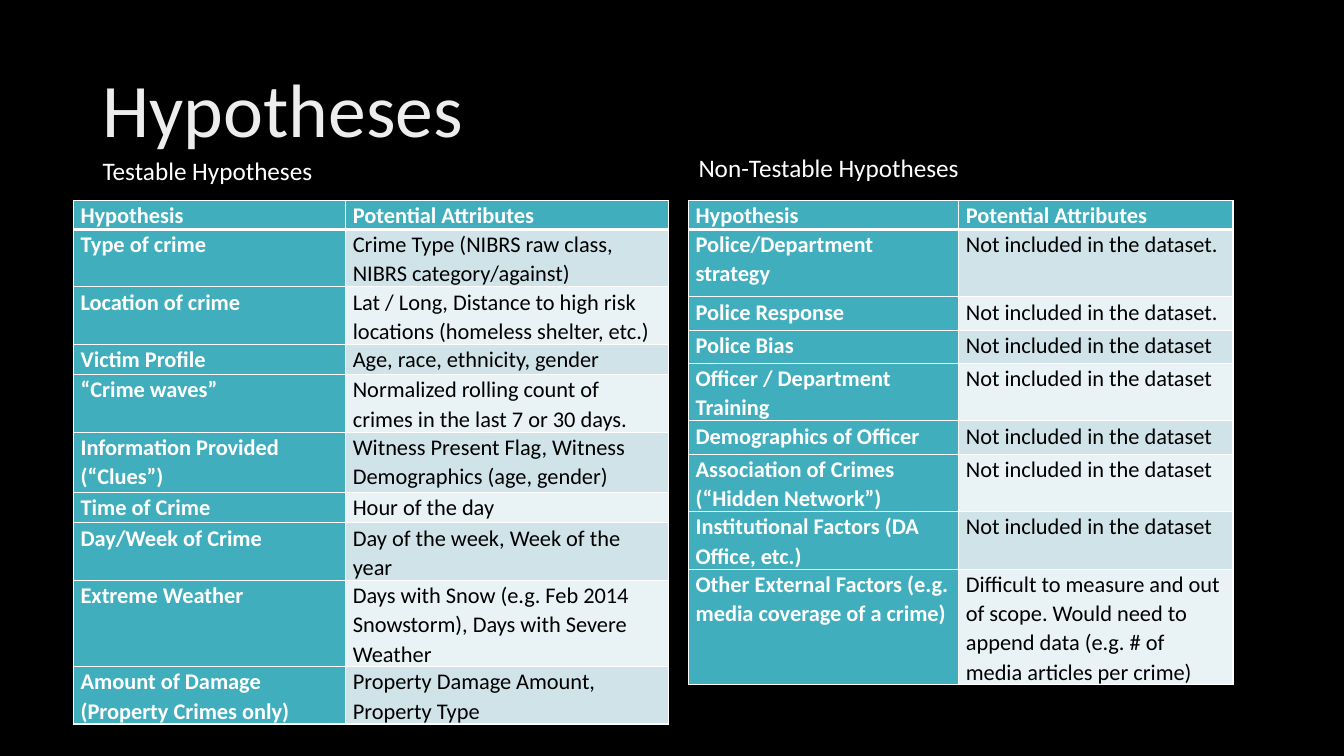
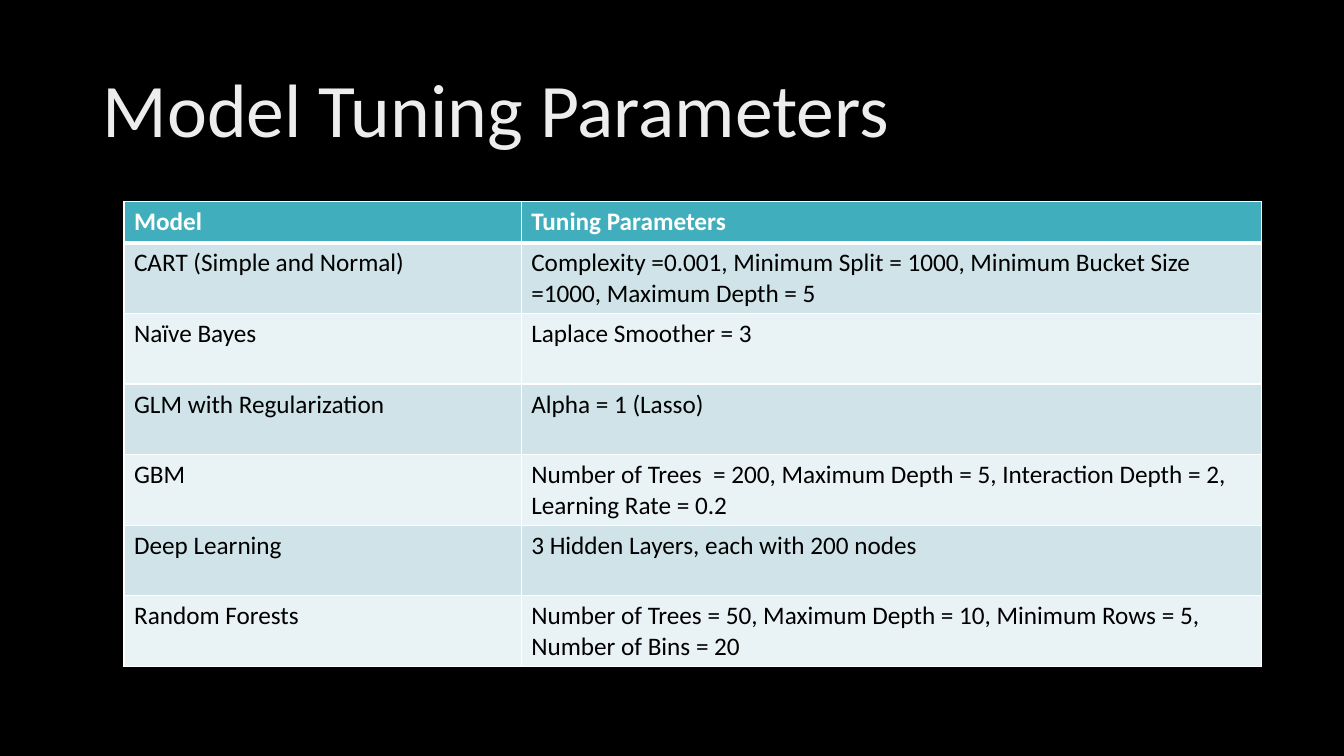
from dataclasses import dataclass

from lxml.etree import SubElement
from pptx import Presentation
from pptx.dml.color import RGBColor
from pptx.enum.text import MSO_ANCHOR, MSO_AUTO_SIZE
from pptx.oxml.ns import qn
from pptx.slide import Slide
from pptx.table import _Cell
from pptx.util import Emu, Pt

EMU_PER_PX = 9144  # 100 px to the inch

FONT = "Calibri"
BLACK, WHITE, TITLE_GREY = "000000", "FFFFFF", "EDEDED"
TEAL = "41AEBD"
BANDS = ("CFE3E8", "E9F2F4")
THIN, THICK = 1, 3

TITLE_BOX = (92, 40, 1150, 145)
TITLE_SIZE, LABEL_SIZE = 54, 18


@dataclass(frozen=True)
class TableStyle:
    size: int
    line_spacing: float
    margin_x: int
    margin_y: int
    heading_column: bool


@dataclass(frozen=True)
class TableData:
    left: int
    top: int
    widths: tuple[int, ...]
    heights: tuple[int, ...]
    rows: tuple[tuple[str, str], ...]
    style: TableStyle


@dataclass(frozen=True)
class Label:
    text: str
    left: int
    top: int
    width: int
    height: int = 40


@dataclass(frozen=True)
class Page:
    title: str
    tables: tuple[TableData, ...]
    labels: tuple[Label, ...] = ()


COMPACT = TableStyle(16, 1.07, 7, 0, heading_column=True)
ROOMY = TableStyle(18, 1.0, 10, 5, heading_column=False)
ABSENT = "Not included in the dataset"

TESTABLE = TableData(
    73, 199, (270, 320), (15, 50, 43, 30, 34, 60, 30, 30, 45, 45),
    (
        ("Hypothesis", "Potential Attributes"),
        ("Type of crime", "Crime Type (NIBRS raw class, NIBRS category/against)"),
        ("Location of crime",
         "Lat / Long, Distance to high risk locations (homeless shelter, etc.)"),
        ("Victim Profile", "Age, race, ethnicity, gender"),
        ("“Crime waves”",
         "Normalized rolling count of crimes in the last 7 or 30 days."),
        ("Information Provided (“Clues”)",
         "Witness Present Flag, Witness Demographics (age, gender)"),
        ("Time of Crime", "Hour of the day"),
        ("Day/Week of Crime", "Day of the week, Week of the year"),
        ("Extreme Weather",
         "Days with Snow (e.g. Feb 2014 Snowstorm), Days with Severe Weather"),
        ("Amount of Damage (Property Crimes only)",
         "Property Damage Amount, Property Type"),
    ),
    COMPACT,
)

NON_TESTABLE = TableData(
    683, 199, (268, 272), (16, 67, 33, 33, 33, 33, 33, 33, 67),
    (
        ("Hypothesis", "Potential Attributes"),
        ("Police/Department strategy", ABSENT + "."),
        ("Police Response", ABSENT + "."),
        ("Police Bias", ABSENT),
        ("Officer / Department Training", ABSENT),
        ("Demographics of Officer", ABSENT),
        ("Association of Crimes (“Hidden Network”)", ABSENT),
        ("Institutional Factors (DA Office, etc.)", ABSENT),
        ("Other External Factors (e.g. media coverage of a crime)",
         "Difficult to measure and out of scope. Would need to append data "
         "(e.g. # of media articles per crime)"),
    ),
    COMPACT,
)

TUNING = TableData(
    123, 200, (394, 734), (41,) + (70,) * 6,
    (
        ("Model", "Tuning Parameters"),
        ("CART (Simple and Normal)",
         "Complexity =0.001, Minimum Split = 1000, Minimum Bucket Size =1000, "
         "Maximum Depth = 5"),
        ("Naïve Bayes", "Laplace Smoother = 3"),
        ("GLM with Regularization", "Alpha = 1 (Lasso)"),
        ("GBM",
         "Number of Trees  = 200, Maximum Depth = 5, Interaction Depth = 2, "
         "Learning Rate = 0.2"),
        ("Deep Learning", "3 Hidden Layers, each with 200 nodes"),
        ("Random Forests",
         "Number of Trees = 50, Maximum Depth = 10, Minimum Rows = 5, "
         "Number of Bins = 20"),
    ),
    ROOMY,
)

PAGES = (
    Page(
        "Hypotheses",
        (TESTABLE, NON_TESTABLE),
        (Label("Testable Hypotheses", 92, 149, 259),
         Label("Non-Testable Hypotheses", 683, 146, 317)),
    ),
    Page("Model Tuning Parameters", (TUNING,)),
)


def px(length: int) -> Emu:
    return Emu(length * EMU_PER_PX)


def rgb(color: str) -> RGBColor:
    return RGBColor.from_string(color)


def set_values(target: object, values: dict[str, object]) -> None:
    for name, value in values.items():
        setattr(target, name, value)


def write_text(frame, text: str, size: int, color: str,
               bold: bool = False, line_spacing: float = 1.0) -> None:
    para = frame.paragraphs[0]
    para.line_spacing = line_spacing
    span = para.add_run()
    span.text = text
    set_values(span.font, {"name": FONT, "size": Pt(size), "bold": bold})
    span.font.color.rgb = rgb(color)


def add_title(slide: Slide, text: str) -> None:
    box = slide.shapes.add_textbox(*map(px, TITLE_BOX))
    set_values(box.text_frame,
               {"word_wrap": True, "vertical_anchor": MSO_ANCHOR.MIDDLE})
    write_text(box.text_frame, text, TITLE_SIZE, TITLE_GREY, line_spacing=0.9)


def add_label(slide: Slide, label: Label) -> None:
    box = slide.shapes.add_textbox(
        *map(px, (label.left, label.top, label.width, label.height)))
    set_values(box.text_frame,
               {"word_wrap": True, "auto_size": MSO_AUTO_SIZE.SHAPE_TO_FIT_TEXT})
    write_text(box.text_frame, label.text, LABEL_SIZE, WHITE)


def set_borders(cell: _Cell, top: int, bottom: int) -> None:
    """Draw white cell borders; the lines must precede the fill in the XML."""
    properties = cell._tc.get_or_add_tcPr()
    widths = {"a:lnL": THIN, "a:lnR": THIN, "a:lnT": top, "a:lnB": bottom}
    for index, (tag, width) in enumerate(widths.items()):
        line = SubElement(properties, qn(tag), w=str(Pt(width)))
        fill = SubElement(line, qn("a:solidFill"))
        SubElement(fill, qn("a:srgbClr"), val=WHITE)
        properties.insert(index, line)


def fill_cell(cell: _Cell, text: str, row: int, column: int,
              style: TableStyle) -> None:
    heading = row == 0 or (style.heading_column and column == 0)
    cell.fill.solid()
    cell.fill.fore_color.rgb = rgb(
        TEAL if heading else BANDS[(row - 1) % len(BANDS)])
    set_values(cell, {
        "margin_left": px(style.margin_x),
        "margin_right": px(style.margin_x),
        "margin_top": px(style.margin_y),
        "margin_bottom": px(style.margin_y),
    })
    write_text(cell.text_frame, text, style.size, WHITE if heading else BLACK,
               heading, style.line_spacing)
    set_borders(cell, top=THICK if row == 1 else THIN,
                bottom=THICK if row == 0 else THIN)


def add_data_table(slide: Slide, data: TableData) -> None:
    table = slide.shapes.add_table(
        len(data.rows), len(data.widths), px(data.left), px(data.top),
        px(sum(data.widths)), px(sum(data.heights))).table
    table.horz_banding = False
    for column, width in zip(table.columns, data.widths):
        column.width = px(width)
    for row, height in zip(table.rows, data.heights):
        row.height = px(height)
    for row, texts in enumerate(data.rows):
        for column, text in enumerate(texts):
            fill_cell(table.cell(row, column), text, row, column, data.style)


def main() -> None:
    deck = Presentation()
    set_values(deck, {"slide_width": px(1333), "slide_height": px(750)})
    background = deck.slide_master.background.fill
    background.solid()
    background.fore_color.rgb = rgb(BLACK)
    blank = deck.slide_layouts[6]
    for page in PAGES:
        slide = deck.slides.add_slide(blank)
        add_title(slide, page.title)
        for data in page.tables:
            add_data_table(slide, data)
        for label in page.labels:
            add_label(slide, label)
    deck.save("out.pptx")


if __name__ == "__main__":
    main()
